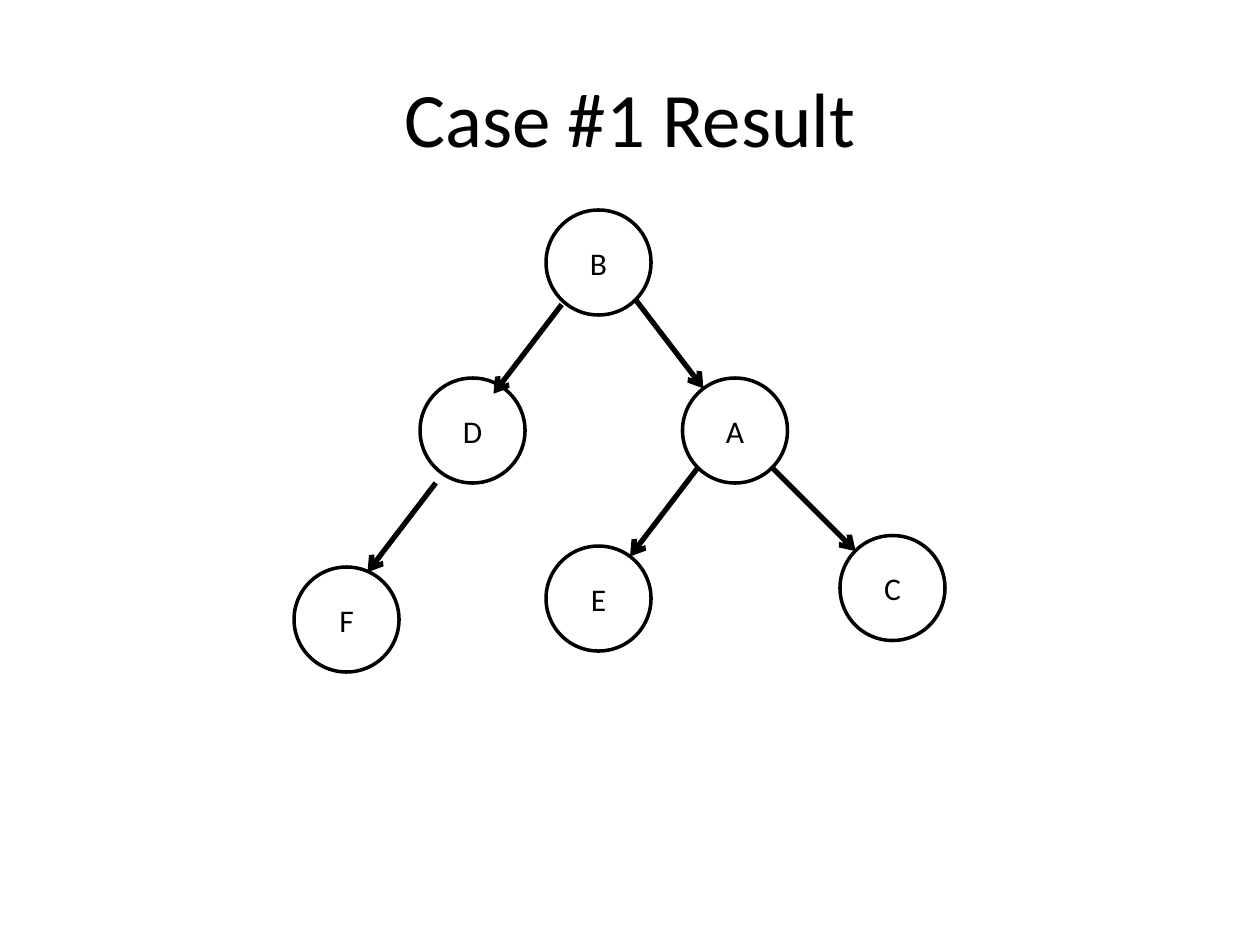
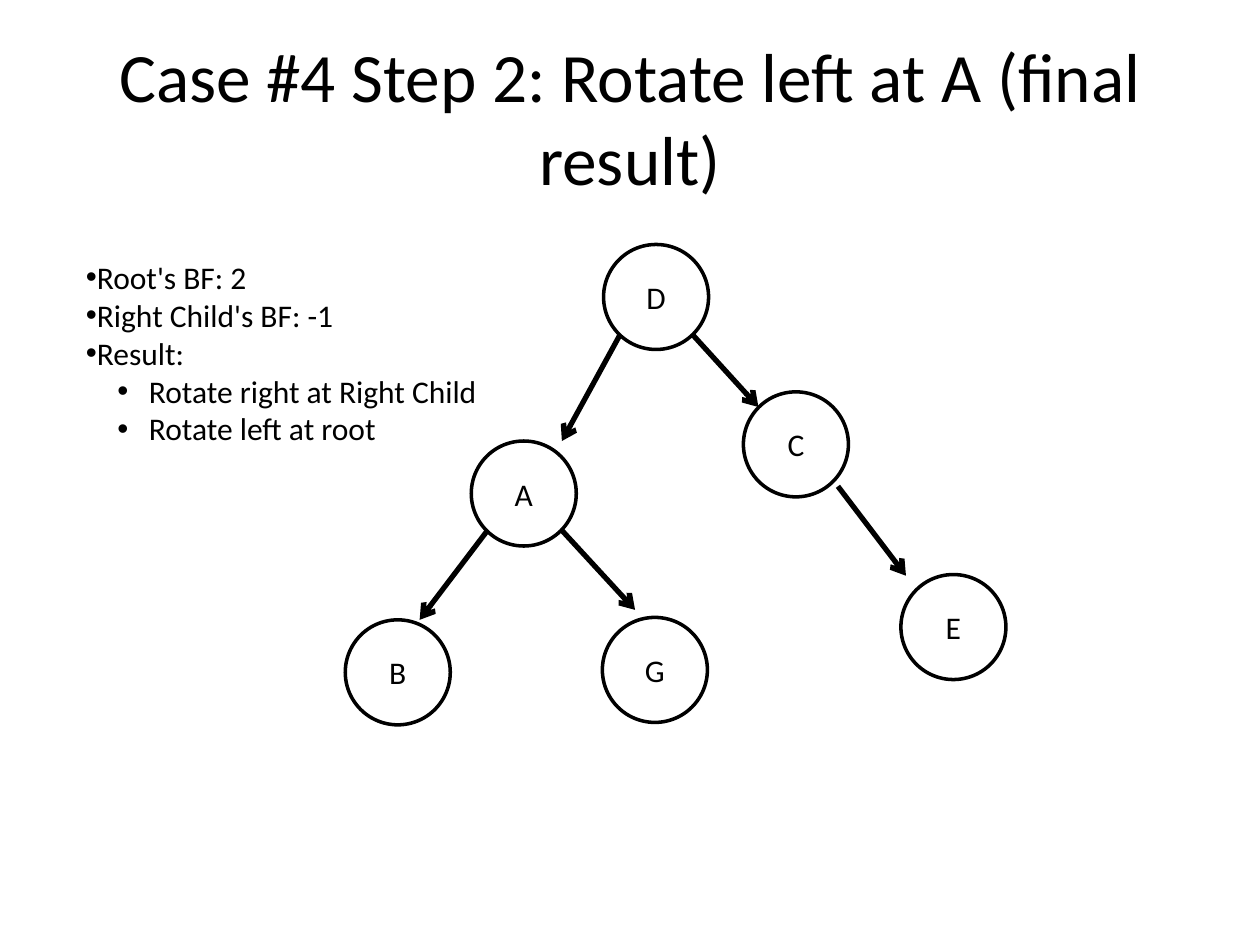
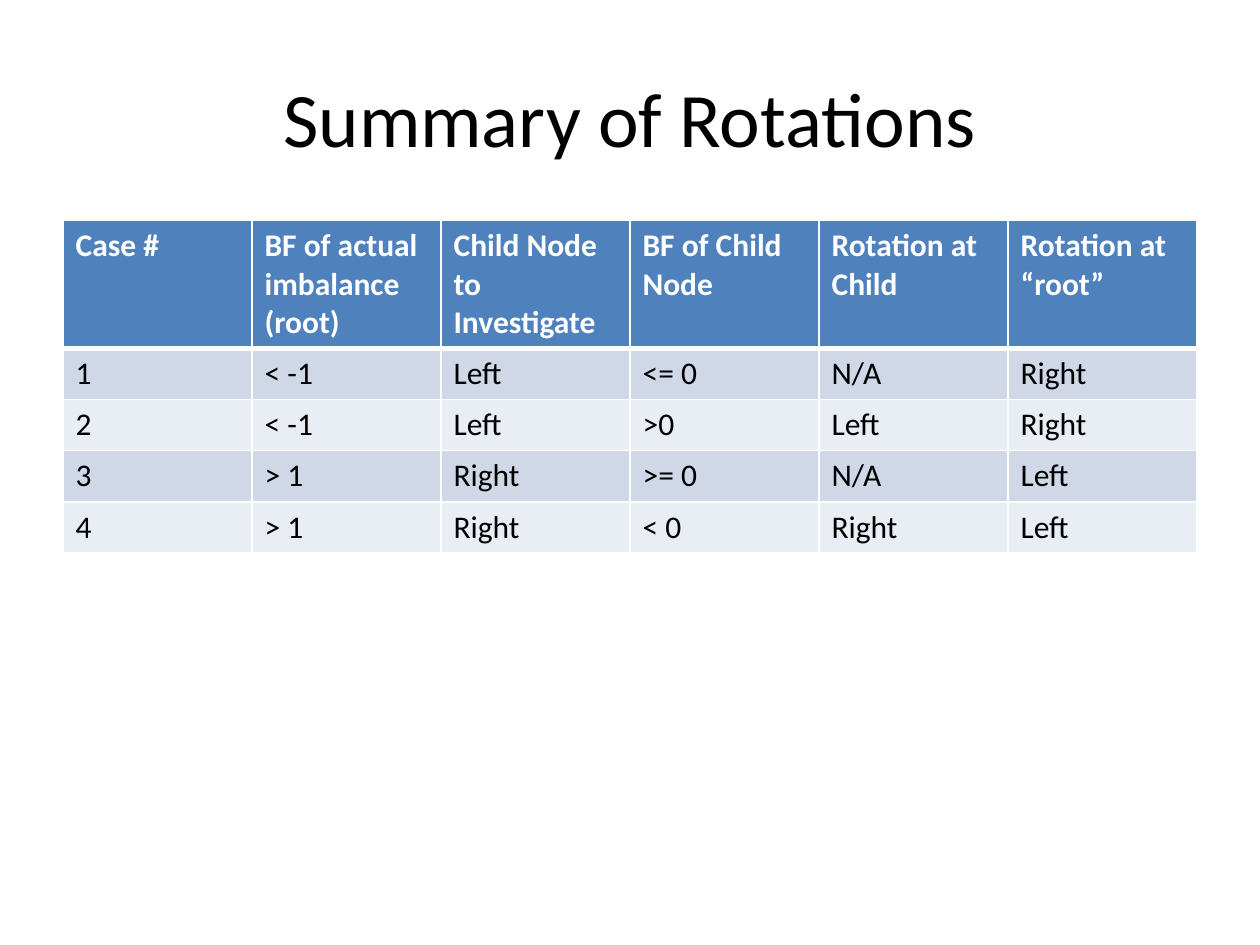
from lxml.etree import SubElement
from pptx import Presentation
from pptx.dml.color import RGBColor
from pptx.enum.shapes import MSO_CONNECTOR as Connector, MSO_SHAPE as Shape
from pptx.enum.text import MSO_ANCHOR as Anchor, MSO_AUTO_SIZE as AutoSize, PP_ALIGN as Align
from pptx.oxml.ns import qn
from pptx.util import Pt

FONT = "Calibri"
BLACK, WHITE = "000000", "FFFFFF"
HEADER, BANDS = "4F81BD", ("D0D8E8", "E9EDF4")
TITLE_BOX = (36, 21.6, 648, 90)
NODE_SIZE = 60

RESULT_NODES = {"A": (222, 96), "B": (144, 0), "C": (312, 186),
                "D": (72, 96), "E": (144, 192), "F": (0, 204)}
RESULT_ARROWS = [(231, 147, 192, 198), (273, 147, 321, 195), (153, 54, 114, 105),
                 (195, 51, 234, 102), (81, 156, 42, 207)]
ROTATED_NODES = {"A": (72, 112.3), "B": (0, 214.5), "C": (227.5, 84.2),
                 "D": (147.6, 0), "E": (317.5, 188.6), "G": (146.9, 213.1)}
ROTATED_ARROWS = [(81.3, 163.4, 42.5, 214.5), (123.8, 163.4, 165.6, 208.8),
                  (198.7, 51.8, 236.1, 92.9), (281.5, 138.2, 320.4, 189.3),
                  (156.9, 51.8, 123.8, 112.3)]
FINDINGS = [("Root's BF: 2", 0), ("Right Child's BF: -1", 0), ("Result:", 0),
            ("Rotate right at Right Child", 1), ("Rotate left at root", 1)]
ROTATIONS = [
    ("Case #", "BF of actual imbalance (root)", "Child Node to Investigate",
     "BF of Child Node", "Rotation at Child", "Rotation at “root”"),
    ("1", "< -1", "Left", "<= 0", "N/A", "Right"),
    ("2", "< -1", "Left", ">0", "Left", "Right"),
    ("3", "> 1", "Right", ">= 0", "N/A", "Left"),
    ("4", "> 1", "Right", "< 0", "Right", "Left"),
]


def rgb(code):
    """Turn a hex string into a colour."""
    return RGBColor.from_string(code)


def points(*lengths):
    """Turn numbers into lengths in points."""
    return [Pt(length) for length in lengths]


def style(paragraph, size=18, color=BLACK, bold=False, align=Align.LEFT):
    """Format a whole paragraph."""
    font = paragraph.font
    font.name, font.size, font.bold = FONT, Pt(size), bold
    font.color.rgb = rgb(color)
    paragraph.alignment = align


def add_titled_slide(deck, heading, size=44):
    """Add a slide with a centred title."""
    slide = deck.slides.add_slide(deck.slide_layouts[5])
    title = slide.shapes.title
    title.left, title.top, title.width, title.height = points(*TITLE_BOX)
    frame = title.text_frame
    frame.text = heading
    frame.auto_size, frame.vertical_anchor = AutoSize.NONE, Anchor.MIDDLE
    style(frame.paragraphs[0], size, align=Align.CENTER)
    return slide


def add_node(slide, letter, x, y):
    """Draw one lettered tree node."""
    node = slide.shapes.add_shape(Shape.OVAL, *points(x, y, NODE_SIZE, NODE_SIZE))
    node.shadow.inherit = False
    node.fill.background()
    node.line.color.rgb, node.line.width = rgb(BLACK), Pt(2)
    node.text_frame.text = letter
    node.text_frame.vertical_anchor = Anchor.MIDDLE
    style(node.text_frame.paragraphs[0], align=Align.CENTER)


def add_arrow(slide, x1, y1, x2, y2):
    """Draw an arrow from a parent to its child."""
    arrow = slide.shapes.add_connector(Connector.STRAIGHT, *points(x1, y1, x2, y2))
    arrow.line.color.rgb, arrow.line.width = rgb(BLACK), Pt(3)
    SubElement(arrow.line._get_or_add_ln(), qn("a:tailEnd"), type="arrow")
    SubElement(arrow._element.spPr, qn("a:effectLst"))


def add_tree(slide, left, top, nodes, arrows):
    """Draw a tree whose parts are placed from its top left corner."""
    for letter, (x, y) in nodes.items():
        add_node(slide, letter, left + x, top + y)
    for x1, y1, x2, y2 in arrows:
        add_arrow(slide, left + x1, top + y1, left + x2, top + y2)


def add_findings(slide, left, top, width, height):
    """Write the two-level bulleted findings."""
    frame = slide.shapes.add_textbox(*points(left, top, width, height)).text_frame
    frame.word_wrap = True
    for index, (finding, level) in enumerate(FINDINGS):
        paragraph = frame.paragraphs[0] if index == 0 else frame.add_paragraph()
        paragraph.text, paragraph.level = finding, level
        style(paragraph)
        properties = paragraph._p.get_or_add_pPr()
        properties.set("marL", str(Pt(36 * level)))
        properties.set("indent", str(Pt(-18 * level)))
        SubElement(properties, qn("a:buFont"), typeface="Arial")
        SubElement(properties, qn("a:buChar"), char="•")
        properties.append(properties.find(qn("a:defRPr")))


def add_borders(cell, top, bottom):
    """Give a cell white borders, with its own top and bottom widths."""
    properties = cell._tc.get_or_add_tcPr()
    for side, width in (("L", 1), ("R", 1), ("T", top), ("B", bottom)):
        line = SubElement(properties, qn(f"a:ln{side}"), w=str(Pt(width)))
        SubElement(SubElement(line, qn("a:solidFill")), qn("a:srgbClr"), val=WHITE)


def add_rotation_table(slide, left, top, width, row_height):
    """Build the banded table of rotations."""
    rows, columns = len(ROTATIONS), len(ROTATIONS[0])
    box = points(left, top, width, row_height * rows)
    table = slide.shapes.add_table(rows, columns, *box).table
    for r, values in enumerate(ROTATIONS):
        heading = r == 0
        for c, value in enumerate(values):
            cell = table.cell(r, c)
            cell.text = value
            add_borders(cell, 3 if r == 1 else 1, 3 if heading else 1)
            cell.fill.solid()
            cell.fill.fore_color.rgb = rgb(HEADER if heading else BANDS[(r - 1) % 2])
            style(cell.text_frame.paragraphs[0], color=WHITE if heading else BLACK, bold=heading)


def main():
    """Build the three slides."""
    deck = Presentation()
    deck.slide_width, deck.slide_height = points(720, 540)
    result = add_titled_slide(deck, "Case #1 Result")
    add_tree(result, 168, 120, RESULT_NODES, RESULT_ARROWS)
    rotated = add_titled_slide(deck, "Case #4 Step 2: Rotate left at A (final result)", 39.6)
    add_tree(rotated, 197.3, 139.7, ROTATED_NODES, ROTATED_ARROWS)
    add_findings(rotated, 42, 144, 270, 138)
    summary = add_titled_slide(deck, "Summary of Rotations")
    add_rotation_table(summary, 36, 126, 648, 29.2)
    deck.save("out.pptx")


if __name__ == "__main__":
    main()
